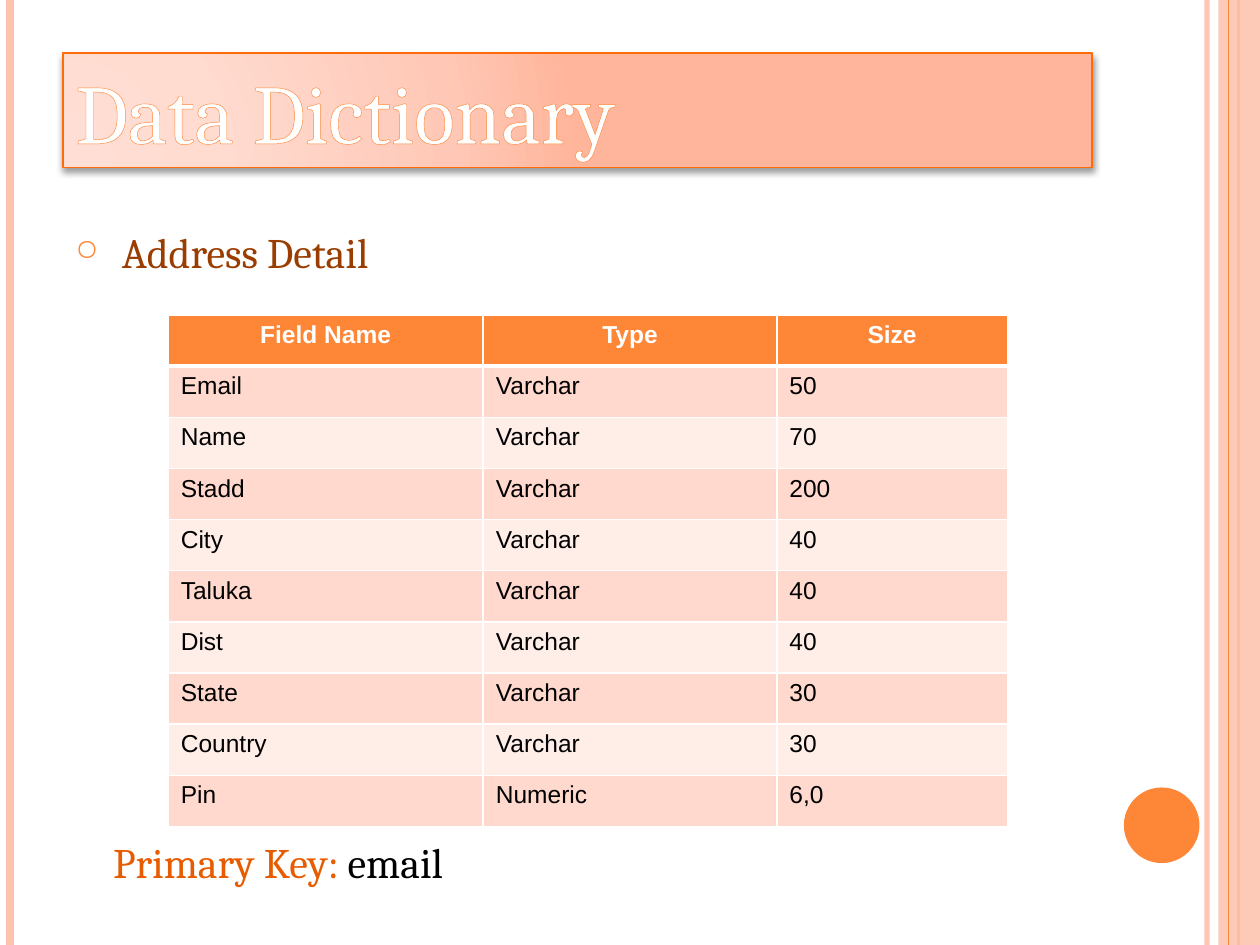
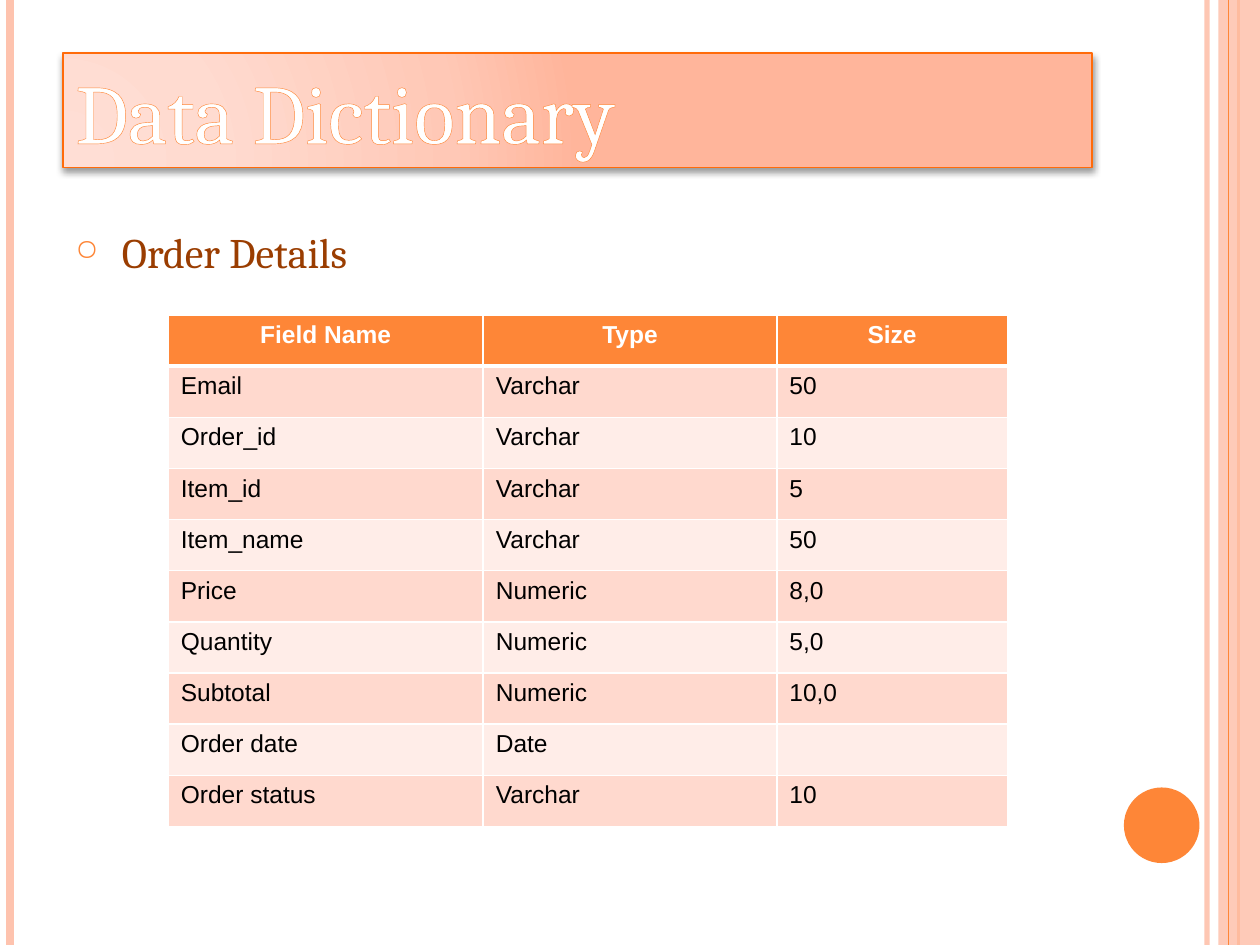
from pptx import Presentation
from pptx.dml.color import RGBColor
from pptx.enum.shapes import MSO_CONNECTOR, MSO_SHAPE
from pptx.enum.text import MSO_ANCHOR, PP_ALIGN
from pptx.oxml import parse_xml
from pptx.oxml.ns import nsdecls
from pptx.util import Inches, Pt

ORANGE = RGBColor(0xFE, 0x86, 0x37)
PEACH = RGBColor(0xFE, 0xC3, 0xAE)
TITLE_EDGE = RGBColor(0xFF, 0x6B, 0x0A)
HEADING_BROWN = RGBColor(0x9A, 0x3D, 0x01)
KEY_ORANGE = RGBColor(0xE7, 0x5C, 0x01)
DARK_ROW = RGBColor(0xFF, 0xD9, 0xCE)
LIGHT_ROW = RGBColor(0xFF, 0xED, 0xE8)
WHITE = RGBColor(0xFF, 0xFF, 0xFF)
BLACK = RGBColor(0, 0, 0)
TITLE_GRADIENT = [
    (0, RGBColor(0xFF, 0xDE, 0xD5)),
    (30, RGBColor(0xFF, 0xDB, 0xD0)),
    (75, RGBColor(0xFF, 0xC8, 0xB6)),
    (100, RGBColor(0xFF, 0xB5, 0x9B)),
]

SERIF = "Cambria"
SANS = "Arial"
PAGE_WIDTH, PAGE_HEIGHT = 10, 7.5
LEFT, CONTENT_WIDTH = 0.5, 8.17
COLUMN_WIDTHS = [2.5, 2.33, 1.83]
ROW_HEIGHT = 0.406

FIELD_HEADER = ("Field Name", "Type", "Size")
ADDRESS_FIELDS = [
    ("Email", "Varchar", "50"),
    ("Name", "Varchar", "70"),
    ("Stadd", "Varchar", "200"),
    ("City", "Varchar", "40"),
    ("Taluka", "Varchar", "40"),
    ("Dist", "Varchar", "40"),
    ("State", "Varchar", "30"),
    ("Country", "Varchar", "30"),
    ("Pin", "Numeric", "6,0"),
]
ORDER_FIELDS = [
    ("Email", "Varchar", "50"),
    ("Order_id", "Varchar", "10"),
    ("Item_id", "Varchar", "5"),
    ("Item_name", "Varchar", "50"),
    ("Price", "Numeric", "8,0"),
    ("Quantity", "Numeric", "5,0"),
    ("Subtotal", "Numeric", "10,0"),
    ("Order date", "Date", ""),
    ("Order status", "Varchar", "10"),
]


def drawing(tag, attributes, content=""):
    return parse_xml(f'<a:{tag} {nsdecls("a")} {attributes}>{content}</a:{tag}>')


def solid(color):
    return f'<a:solidFill><a:srgbClr val="{color}"/></a:solidFill>'


def set_alpha(fill_holder, percent):
    color = next(fill_holder.iter("{*}srgbClr"))
    color.append(drawing("alpha", f'val="{percent * 1000}"'))


def write_text(para, text, *, font=SERIF, size=24, color=BLACK, bold=False,
               align=PP_ALIGN.LEFT):
    para.alignment = align
    span = para.add_run()
    span.text = text
    span.font.name = font
    span.font.size = Pt(size)
    span.font.bold = bold
    span.font.color.rgb = color
    return span


def add_stripe(page, x, width, color, alpha=None):
    line = page.shapes.add_connector(
        MSO_CONNECTOR.STRAIGHT, Inches(x), 0, Inches(x), Inches(PAGE_HEIGHT))
    line.line.color.rgb = color
    line.line.width = Pt(width)
    if alpha:
        set_alpha(line._element.spPr, alpha)
    line._element.spPr.append(drawing("effectLst", ""))


def add_plain_shape(page, kind, left, top, width, height, color):
    shape = page.shapes.add_shape(
        kind, Inches(left), Inches(top), Inches(width), Inches(height))
    shape.shadow.inherit = False
    shape.fill.solid()
    shape.fill.fore_color.rgb = color
    shape.line.fill.background()
    return shape


def add_frame(page):
    add_stripe(page, 9.58, 3, PEACH, alpha=93)
    add_stripe(page, 0.08, 4.5, PEACH)
    add_stripe(page, 9.83, 1.5, ORANGE)
    band = add_plain_shape(page, MSO_SHAPE.RECTANGLE, 9.67, 0, 0.33, PAGE_HEIGHT, PEACH)
    set_alpha(band._element.spPr, 87)
    add_stripe(page, 9.75, 0.75, ORANGE)
    add_plain_shape(page, MSO_SHAPE.OVAL, 8.92, 6.25, 0.6, 0.6, ORANGE)


def add_title(page, text):
    box = page.shapes.add_shape(
        MSO_SHAPE.RECTANGLE, Inches(LEFT), Inches(0.42), Inches(CONTENT_WIDTH), Inches(0.91))
    stops = "".join(
        f'<a:gs pos="{place * 1000}"><a:srgbClr val="{color}"/></a:gs>'
        for place, color in TITLE_GRADIENT)
    properties = box._element.spPr
    properties.append(drawing(
        "gradFill", 'rotWithShape="1"',
        f'<a:gsLst>{stops}</a:gsLst><a:path path="circle">'
        '<a:fillToRect l="5000" t="100000" r="120000" b="10000"/></a:path>'))
    box.line.color.rgb = TITLE_EDGE
    box.line.width = Pt(1)
    properties.append(drawing(
        "effectLst", "",
        f'<a:outerShdw blurRad="{Pt(4)}" dist="{Pt(2)}" dir="5400000" rotWithShape="0">'
        '<a:srgbClr val="000000"><a:alpha val="40000"/></a:srgbClr></a:outerShdw>'))
    box.text_frame.word_wrap = True
    box.text_frame.vertical_anchor = MSO_ANCHOR.MIDDLE
    span = write_text(box.text_frame.paragraphs[0], text, size=48, color=WHITE)
    span.font._element.insert(0, drawing("ln", f'w="{Pt(0.8)}"', solid(ORANGE)))


def add_text_line(page, left, top):
    box = page.shapes.add_textbox(
        Inches(left), Inches(top), Inches(LEFT + CONTENT_WIDTH - left), Inches(0.5))
    box.text_frame.word_wrap = True
    return box.text_frame.paragraphs[0]


def add_heading(page, text):
    para = add_text_line(page, LEFT, 1.75)
    write_text(para, text, color=HEADING_BROWN)
    properties = para._p.get_or_add_pPr()
    indent = Inches(0.37)
    properties.set("marL", str(indent))
    properties.set("indent", str(-indent))
    properties.append(drawing("buClr", "", f'<a:srgbClr val="{ORANGE}"/>'))
    properties.append(drawing("buSzPct", 'val="70000"'))
    properties.append(drawing("buChar", 'char="○"'))


def add_primary_key(page, field):
    para = add_text_line(page, 0.8, 6.59)
    write_text(para, "Primary Key: ", color=KEY_ORANGE)
    write_text(para, field)


def set_borders(cell, top=1, bottom=1):
    properties = cell._tc.get_or_add_tcPr()
    sides = [("lnL", 1), ("lnR", 1), ("lnT", top), ("lnB", bottom)]
    for place, (side, width) in enumerate(sides):
        properties.insert(place, drawing(side, f'w="{Pt(width)}"', solid(WHITE)))


def add_field_table(page, fields):
    rows = [FIELD_HEADER, *fields]
    table = page.shapes.add_table(
        len(rows), len(COLUMN_WIDTHS), Inches(1.335), Inches(2.5),
        Inches(sum(COLUMN_WIDTHS)), Inches(ROW_HEIGHT * len(rows))).table
    for column, width in zip(table.columns, COLUMN_WIDTHS):
        column.width = Inches(width)
    for row_number, values in enumerate(rows):
        table.rows[row_number].height = Inches(ROW_HEIGHT)
        header = row_number == 0
        fill = ORANGE if header else DARK_ROW if row_number % 2 else LIGHT_ROW
        for column_number, value in enumerate(values):
            cell = table.cell(row_number, column_number)
            cell.fill.solid()
            cell.fill.fore_color.rgb = fill
            set_borders(cell, top=3 if row_number == 1 else 1, bottom=3 if header else 1)
            if value:
                write_text(cell.text_frame.paragraphs[0], value, font=SANS, size=14,
                           color=WHITE if header else BLACK, bold=header,
                           align=PP_ALIGN.CENTER if header else PP_ALIGN.LEFT)


def add_dictionary_page(deck, heading, fields, primary_key=None):
    page = deck.slides.add_slide(deck.slide_layouts[6])
    add_frame(page)
    add_title(page, "Data Dictionary")
    add_heading(page, heading)
    add_field_table(page, fields)
    if primary_key:
        add_primary_key(page, primary_key)


def main():
    deck = Presentation()
    deck.slide_width = Inches(PAGE_WIDTH)
    deck.slide_height = Inches(PAGE_HEIGHT)
    add_dictionary_page(deck, "Address Detail", ADDRESS_FIELDS, primary_key="email")
    add_dictionary_page(deck, "Order Details", ORDER_FIELDS)
    deck.save("out.pptx")


if __name__ == "__main__":
    main()
